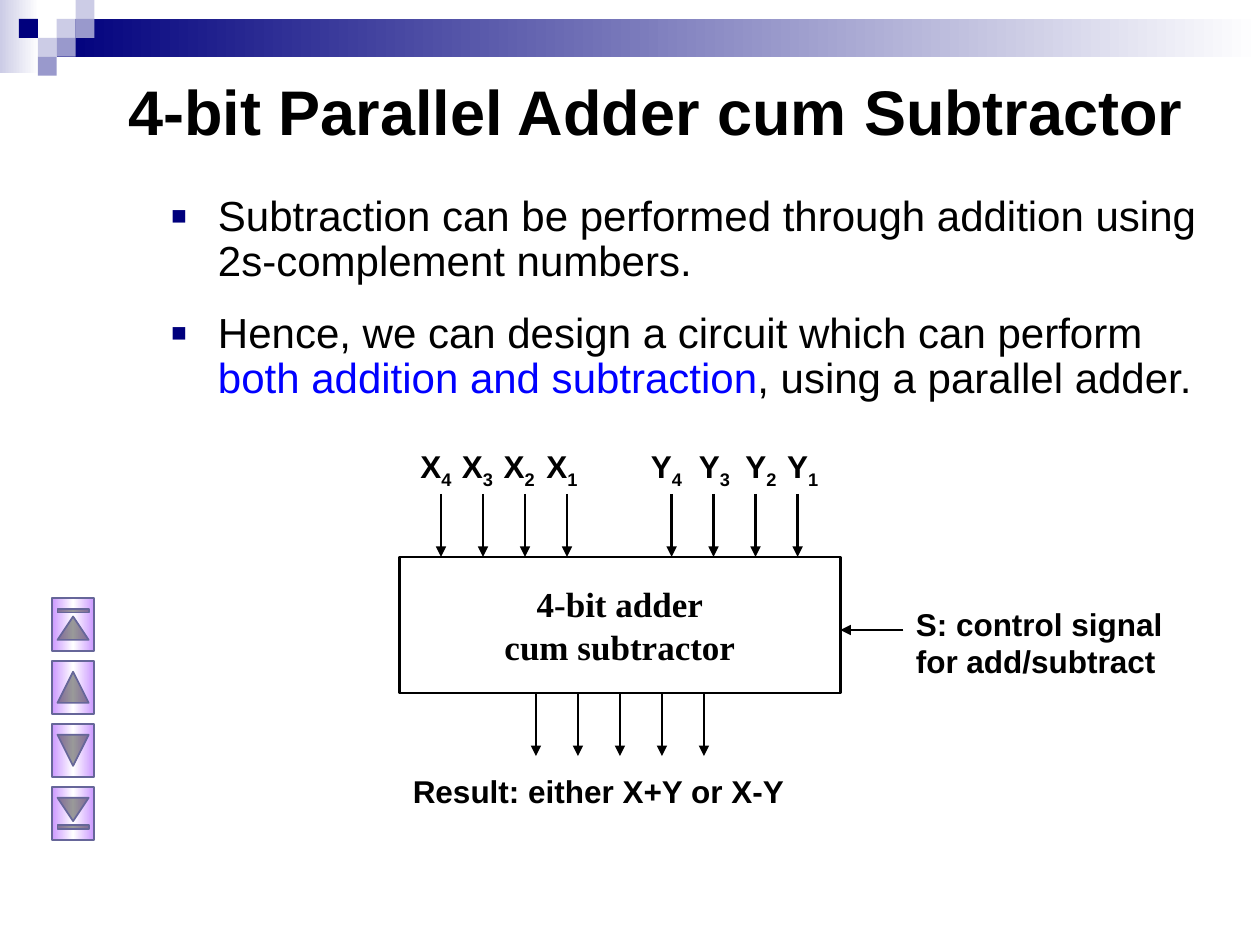
from lxml.etree import SubElement
from pptx import Presentation
from pptx.dml.color import RGBColor
from pptx.enum.shapes import MSO_CONNECTOR, MSO_SHAPE
from pptx.enum.text import MSO_ANCHOR, MSO_AUTO_SIZE, PP_ALIGN
from pptx.oxml.ns import qn
from pptx.util import Inches, Pt

COLORS = {
    "text": "000000",
    "accent": "0000FF",
    "navy": "00007D",
    "pale": "CCCCE6",
    "lilac": "9999CC",
    "white": "FFFFFF",
    "button": "CC99FF",
    "button_line": "666699",
}
ARROW_LENGTH = 0.5
ARROW_STEP = 1 / 3


def rgb(name):
    """Return the named palette colour."""
    return RGBColor.from_string(COLORS[name])


def set_font(paragraph, size, name="Arial", bold=False):
    """Format a whole paragraph in the text colour."""
    font = paragraph.font
    font.size = Pt(size)
    font.name = name
    font.bold = bold
    font.color.rgb = rgb("text")


def set_gradient(shape, names, angle):
    """Fill a shape with evenly spaced gradient stops."""
    shape.fill.gradient()
    shape.fill.gradient_angle = angle
    stops = shape.element.spPr.find(qn("a:gradFill")).find(qn("a:gsLst"))
    for stop in list(stops):
        stops.remove(stop)
    for index, name in enumerate(names):
        position = str(100000 * index // (len(names) - 1))
        stop = SubElement(stops, qn("a:gs"), pos=position)
        SubElement(stop, qn("a:srgbClr"), val=COLORS[name])


def add_shape(slide, kind, left, top, width, height):
    """Add a preset shape without shadow."""
    shape = slide.shapes.add_shape(
        kind, Inches(left), Inches(top), Inches(width), Inches(height)
    )
    shape.shadow.inherit = False
    return shape


def add_arrow(slide, start, end):
    """Draw a thin line with a triangular head at its end."""
    points = [Inches(value) for value in (*start, *end)]
    arrow = slide.shapes.add_connector(MSO_CONNECTOR.STRAIGHT, *points)
    arrow.line.color.rgb = rgb("text")
    arrow.line.width = Pt(1.25)
    SubElement(arrow.line._get_or_add_ln(), qn("a:tailEnd"), type="triangle")
    SubElement(arrow.element.spPr, qn("a:effectLst"))
    return arrow


def add_label(slide, text, left, top, width, height,
              alignment=PP_ALIGN.CENTER, subscript=""):
    """Add a bold label, optionally ending in a subscript."""
    box = slide.shapes.add_textbox(
        Inches(left), Inches(top), Inches(width), Inches(height)
    )
    box.text_frame.word_wrap = True
    paragraph = box.text_frame.paragraphs[0]
    paragraph.alignment = alignment
    set_font(paragraph, 18, bold=True)
    paragraph.add_run().text = text
    if subscript:
        run = paragraph.add_run()
        run.text = subscript
        run._r.get_or_add_rPr().set("baseline", "-25000")


def add_banner(slide, left, top, width, cell):
    """Draw the gradient bar and the checkered corner."""
    fade = add_shape(slide, MSO_SHAPE.RECTANGLE, left, top, 0.31, 0.58)
    set_gradient(fade, ("pale", "white"), 0)
    bar = add_shape(slide, MSO_SHAPE.RECTANGLE, left + 3 * cell, top + cell,
                    width - 3 * cell, 2 * cell)
    set_gradient(bar, ("navy", "white"), 0)
    fade.line.fill.background()
    bar.line.fill.background()
    squares = [(3, 1, "pale"), (4, 0, "pale"), (4, 1, "lilac"), (2, 2, "pale"),
               (1, 1, "navy"), (3, 2, "lilac"), (2, 3, "lilac")]
    for column, row, name in squares:
        square = add_shape(slide, MSO_SHAPE.RECTANGLE, left + column * cell,
                           top + row * cell, cell, cell)
        square.fill.solid()
        square.fill.fore_color.rgb = rgb(name)
        square.line.fill.background()


def place(shape, left, top, width, height):
    """Move a placeholder to the given box."""
    shape.left, shape.top = Inches(left), Inches(top)
    shape.width, shape.height = Inches(width), Inches(height)
    shape.text_frame.auto_size = MSO_AUTO_SIZE.NONE


def fill_title(title, left, top, width, height):
    """Write the slide title."""
    place(title, left, top, width, height)
    title.text_frame.text = "4-bit Parallel Adder cum Subtractor"
    title.text_frame.vertical_anchor = MSO_ANCHOR.MIDDLE
    paragraph = title.text_frame.paragraphs[0]
    paragraph.alignment = PP_ALIGN.LEFT
    set_font(paragraph, 36, bold=True)


def fill_body(body, left, top, width, height):
    """Write the bulleted list."""
    place(body, left, top, width, height)
    items = [
        [("Subtraction can be performed through addition using "
          "2s-complement numbers.", "text")],
        [("Hence, we can design a circuit which can perform ", "text"),
         ("both addition and subtraction", "accent"),
         (", using a parallel adder.", "text")],
    ]
    frame = body.text_frame
    for index, item in enumerate(items):
        paragraph = frame.add_paragraph() if index else frame.paragraphs[0]
        paragraph.line_spacing = 0.9
        paragraph.space_before = Pt(15 if index else 0)
        properties = paragraph._p.get_or_add_pPr()
        properties.set("marL", str(Inches(0.38)))
        properties.set("indent", str(Inches(-0.38)))
        bullet_color = SubElement(properties, qn("a:buClr"))
        SubElement(bullet_color, qn("a:srgbClr"), val=COLORS["navy"])
        SubElement(properties, qn("a:buSzPct"), val="120000")
        SubElement(properties, qn("a:buFont"), typeface="Arial")
        SubElement(properties, qn("a:buChar"), char="▪")
        set_font(paragraph, 24)
        for text, color in item:
            run = paragraph.add_run()
            run.text = text
            run.font.color.rgb = rgb(color)


def add_adder(slide, left, top, width, height):
    """Draw the adder block with its inputs, control signal and result."""
    block = add_shape(slide, MSO_SHAPE.RECTANGLE, left, top, width, height)
    block.fill.background()
    block.line.color.rgb = rgb("text")
    block.line.width = Pt(1.5)
    block.text_frame.text = "4-bit adder\ncum subtractor"
    block.text_frame.vertical_anchor = MSO_ANCHOR.MIDDLE
    for paragraph in block.text_frame.paragraphs:
        paragraph.alignment = PP_ALIGN.CENTER
        set_font(paragraph, 20, "Times New Roman", True)

    inputs = [("X", 0.33, (0.29, 0.62, 0.95, 1.29)),
              ("Y", 2.16, (2.12, 2.5, 2.87, 3.2))]
    for letter, first, centers in inputs:
        for index, center in enumerate(centers):
            x = left + first + index * ARROW_STEP
            add_arrow(slide, (x, top - ARROW_LENGTH), (x, top))
            add_label(slide, letter, left + center - 0.29, top - 0.92,
                      0.58, 0.44, subscript=str(4 - index))

    bottom = top + height
    for offset in range(-2, 3):
        x = left + width / 2 + offset * ARROW_STEP
        arrow = add_arrow(slide, (x, bottom), (x, bottom + ARROW_LENGTH))
        if offset == 0:
            arrow.begin_connect(block, 2)
    add_label(slide, "Result: either X+Y or X-Y", left - 0.21, bottom + 0.58,
              3.58, 0.4)

    right = left + width
    add_arrow(slide, (right + ARROW_LENGTH, top + 0.58), (right, top + 0.58))
    add_label(slide, "S: control signal for add/subtract",
              right + ARROW_LENGTH, top + 0.33, 2.25, 0.7, PP_ALIGN.LEFT)


def add_navigation(slide, left, top, width, height, step):
    """Stack the four navigation buttons, each turned a quarter."""
    kinds = [MSO_SHAPE.ACTION_BUTTON_BEGINNING,
             MSO_SHAPE.ACTION_BUTTON_BACK_OR_PREVIOUS,
             MSO_SHAPE.ACTION_BUTTON_FORWARD_OR_NEXT,
             MSO_SHAPE.ACTION_BUTTON_END]
    for index, kind in enumerate(kinds):
        button = add_shape(slide, kind, left, top + index * step, width, height)
        button.rotation = 90
        set_gradient(button, ("button", "white", "button"), 90)
        button.line.color.rgb = rgb("button_line")
        button.line.width = Pt(1)


def main():
    """Build and save the slide."""
    presentation = Presentation()
    presentation.slide_width, presentation.slide_height = Inches(10), Inches(7.5)
    slide = presentation.slides.add_slide(presentation.slide_layouts[1])
    add_banner(slide, 0, 0, 10, 0.15)
    fill_title(slide.shapes.title, 0.92, 0.25, 8.92, 1.25)
    fill_body(slide.placeholders[1], 1.25, 1.5, 8.5, 1.92)
    add_adder(slide, 3.17, 4.42, 3.5, 1.08)
    add_navigation(slide, 0.37, 4.79, 0.42, 0.33, 0.5)
    presentation.save("out.pptx")


if __name__ == "__main__":
    main()
